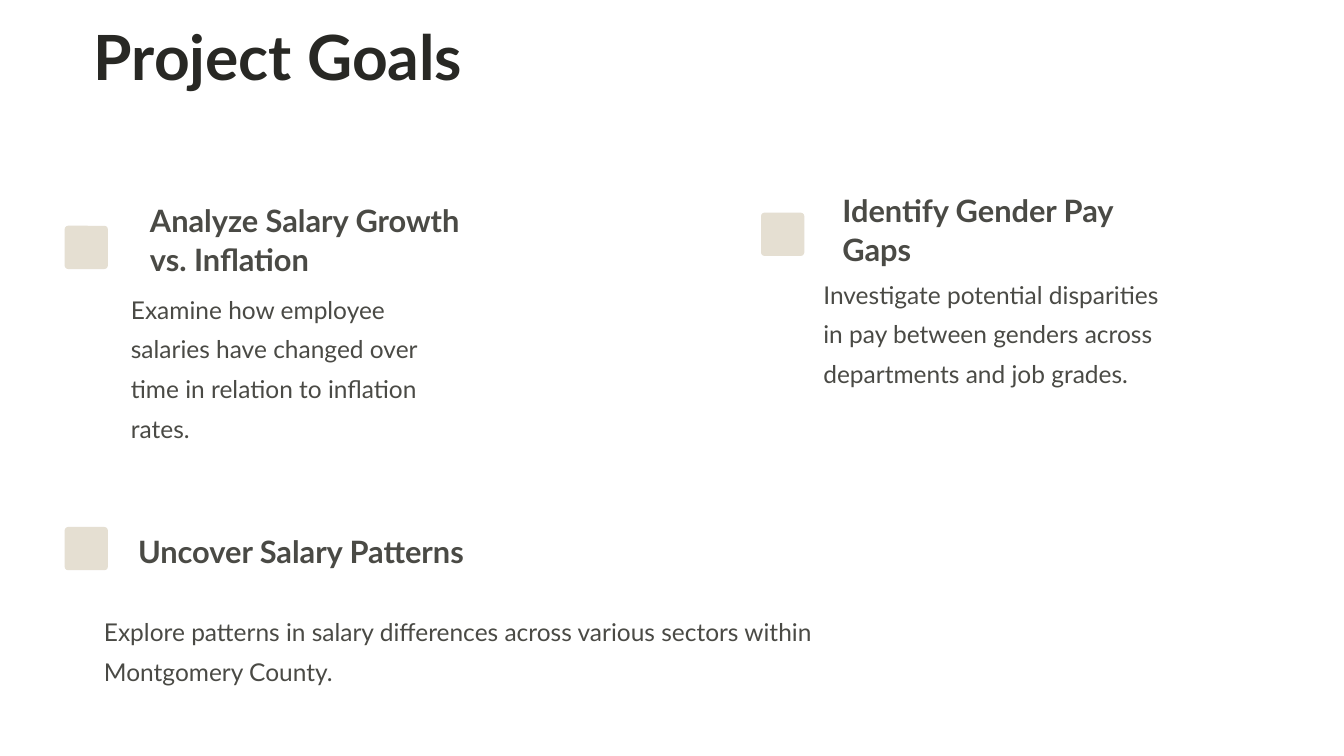
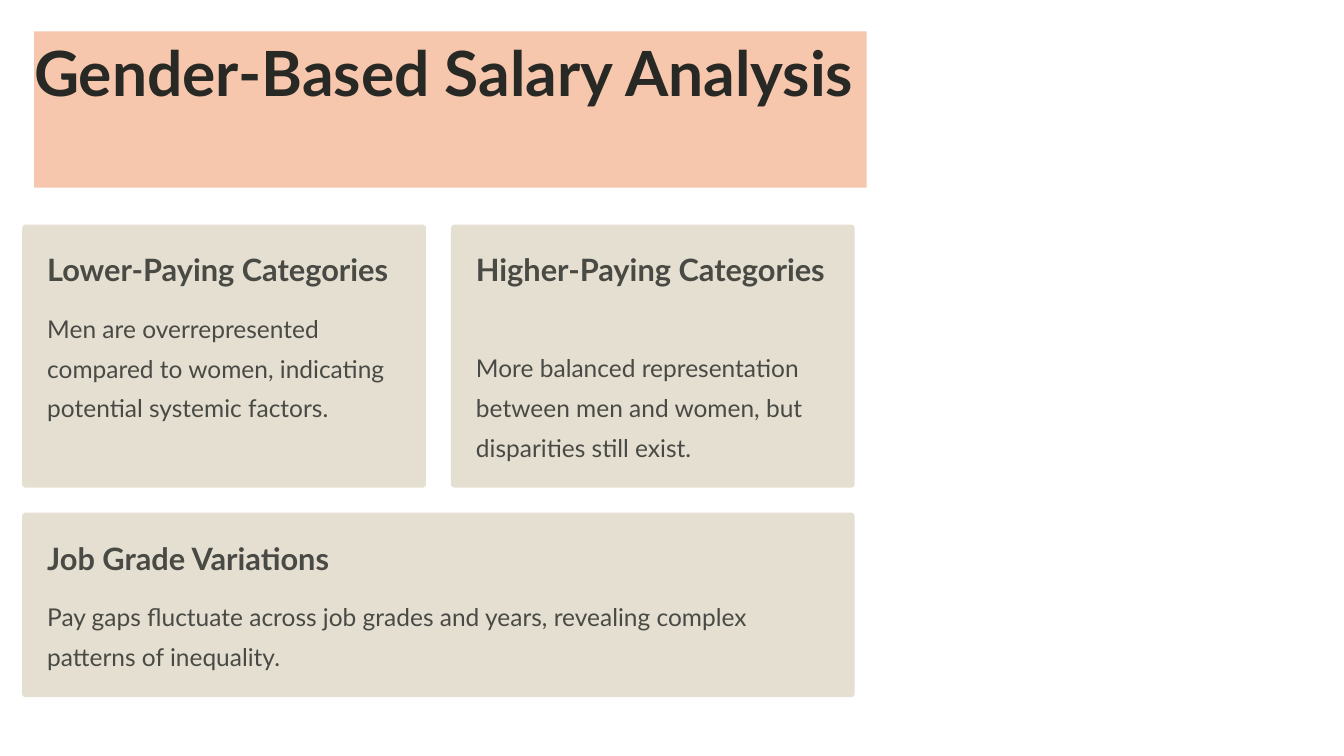
from pptx import Presentation
from pptx.dml.color import RGBColor
from pptx.enum import shapes, text
from pptx.util import Cm, Pt

INK = RGBColor(0x28, 0x28, 0x24)
GREY = RGBColor(0x4A, 0x4A, 0x45)
SAND = RGBColor(0xE5, 0xDF, 0xD2)
PEACH = RGBColor(0xF6, 0xC6, 0xAD)

FONT = "Lato"
TITLE = dict(size=44.5, leading=55.5, color=INK, bold=True)
HEADING = dict(size=22, leading=27.5, color=GREY, bold=True)
BODY = dict(size=17.5, leading=28.5, color=GREY, bold=False)

LINE = 0.99
RADIUS = 0.09
MARKER = 1.09
GAP = 0.63
HEADING_GAP = 0.36


def write(frame, content, size, leading, color, bold, wrap=True):
    frame.auto_size = text.MSO_AUTO_SIZE.NONE
    frame.margin_left = frame.margin_top = 0
    frame.margin_right = frame.margin_bottom = 0
    frame.vertical_anchor = text.MSO_ANCHOR.TOP
    frame.word_wrap = wrap
    para = frame.paragraphs[0]
    para.alignment = text.PP_ALIGN.LEFT
    para.line_spacing = Pt(leading)
    span = para.add_run()
    span.text = content
    span.font.name = FONT
    span.font.size = Pt(size)
    span.font.bold = bold
    span.font.color.rgb = color


class Deck:
    def __init__(self):
        self.deck = Presentation()
        self.deck.slide_width = Cm(33.87)
        self.deck.slide_height = Cm(19.05)
        self.page = None

    def new_page(self, title, left, top, width, height, fill=None):
        self.page = self.deck.slides.add_slide(self.deck.slide_layouts[5])
        box = self.page.shapes.title
        box.left, box.top, box.width, box.height = map(Cm, (left, top, width, height))
        if fill is not None:
            box.fill.solid()
            box.fill.fore_color.rgb = fill
        write(box.text_frame, title, **TITLE)

    def label(self, content, left, top, width, height, **style):
        box = self.page.shapes.add_textbox(*map(Cm, (left, top, width, height)))
        write(box.text_frame, content, **style)

    def panel(self, left, top, width, height):
        box = self.page.shapes.add_shape(
            shapes.MSO_SHAPE.ROUNDED_RECTANGLE, *map(Cm, (left, top, width, height)))
        box.adjustments[0] = RADIUS / min(width, height)
        box.shadow.inherit = False
        box.fill.solid()
        box.fill.fore_color.rgb = SAND
        box.line.fill.background()

    def goal(self, marker, heading, heading_area, body, body_area, wrap=True):
        self.panel(*marker, MARKER, MARKER)
        self.label(heading, *heading_area, wrap=wrap, **HEADING)
        self.label(body, *body_area, **BODY)

    def card(self, heading, body, left, top, width, height, lines=1):
        self.panel(left, top, width, height)
        inner_left, inner_top, inner_width = left + GAP, top + GAP, width - 2 * GAP
        heading_height = lines * LINE
        self.label(heading, inner_left, inner_top, inner_width, heading_height,
                   wrap=lines > 1, **HEADING)
        body_top = inner_top + heading_height + HEADING_GAP
        self.label(body, inner_left, body_top, inner_width,
                   top + height - GAP - body_top, **BODY)


def build_goals(deck):
    deck.new_page("Project Goals", 2.36, 0.38, 19.25, 2.21)
    deck.goal((1.63, 5.69),
              "Analyze Salary Growth vs. Inflation", (3.78, 5.05, 8.46, 2 * LINE),
              "Examine how employee salaries have changed over time in relation "
              "to inflation rates.", (3.3, 7.16, 8.46, 4.04))
    deck.goal((19.18, 5.36),
              "Identify Gender Pay Gaps", (21.23, 4.8, 8.46, 2 * LINE),
              "Investigate potential disparities in pay between genders across "
              "departments and job grades.", (20.75, 6.78, 8.46, 4.04))
    deck.goal((1.63, 13.28),
              "Uncover Salary Patterns", (3.48, 13.39, 8.51, LINE),
              "Explore patterns in salary differences across various sectors "
              "within Montgomery County.", (2.62, 15.29, 19.25, 2.01), wrap=False)


def build_analysis(deck):
    left, top, width, height = 0.56, 5.66, 20.98, 6.63
    half = (width - GAP) / 2
    deck.new_page("Gender-Based Salary Analysis", 0.86, 0.79, width, 3.94, fill=PEACH)
    deck.card("Lower-Paying Categories",
              "Men are overrepresented compared to women, indicating potential "
              "systemic factors.", left, top, half, height)
    deck.card("Higher-Paying Categories",
              "More balanced representation between men and women, but "
              "disparities still exist.", left + half + GAP, top, half, height, lines=2)
    deck.card("Job Grade Variations",
              "Pay gaps fluctuate across job grades and years, revealing complex "
              "patterns of inequality.", left, top + height + GAP, width, 4.65)


def main():
    deck = Deck()
    build_goals(deck)
    build_analysis(deck)
    deck.deck.save("out.pptx")


if __name__ == "__main__":
    main()
